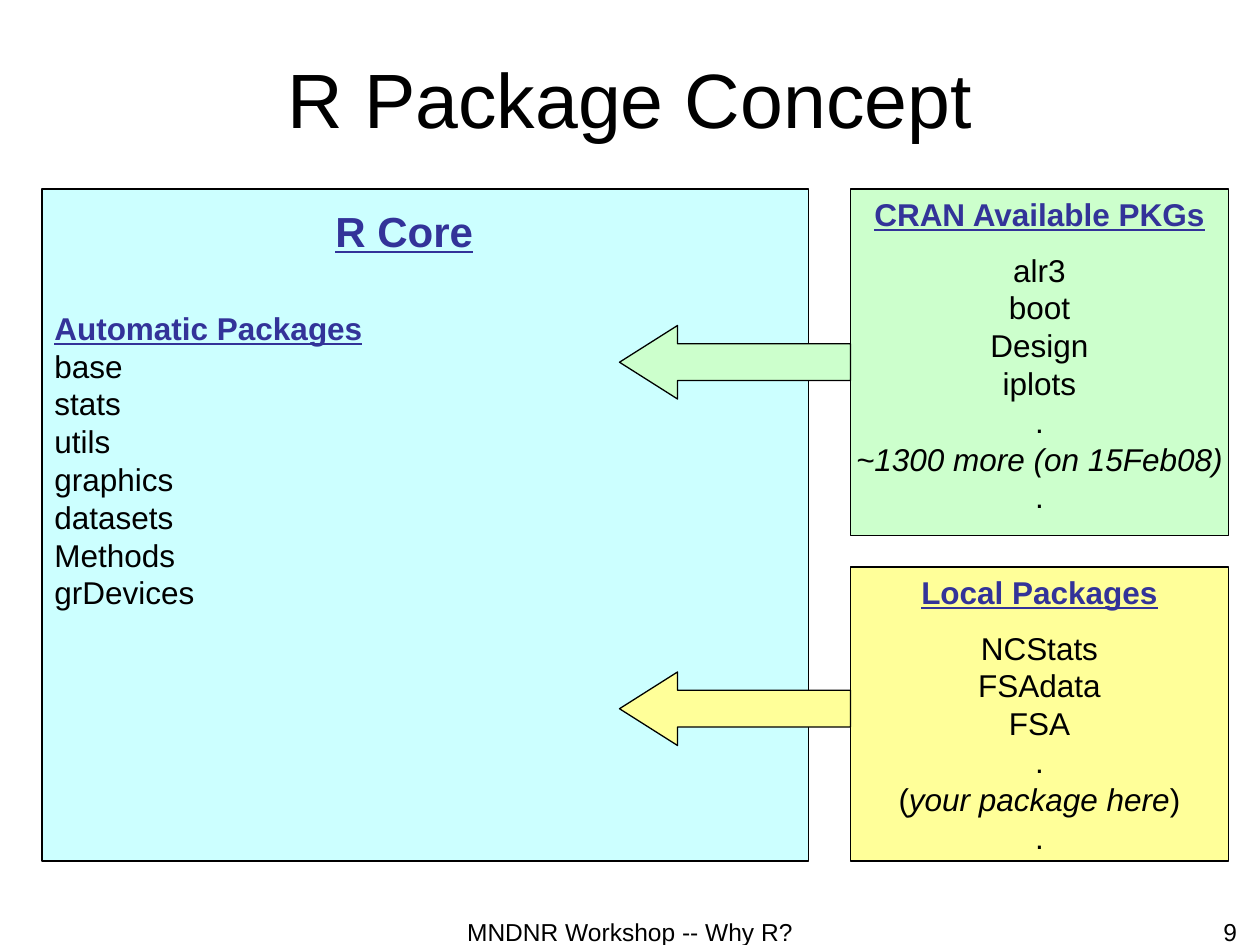
from dataclasses import dataclass

from pptx import Presentation
from pptx.dml.color import RGBColor
from pptx.enum.shapes import MSO_SHAPE
from pptx.enum.text import MSO_ANCHOR, PP_ALIGN
from pptx.util import Inches, Pt

RECTANGLE, LEFT_ARROW = MSO_SHAPE.RECTANGLE, MSO_SHAPE.LEFT_ARROW
LEFT, CENTER, RIGHT = PP_ALIGN.LEFT, PP_ALIGN.CENTER, PP_ALIGN.RIGHT
TOP, MIDDLE = MSO_ANCHOR.TOP, MSO_ANCHOR.MIDDLE
CELL = Inches(1) // 12  # the slide is a grid of 120 columns by 90 rows


@dataclass(frozen=True)
class Theme:
    font: str = "Arial"
    ink: str = "000000"
    heading: str = "333399"
    core: str = "CCFFFF"
    cran: str = "CCFFCC"
    local: str = "FFFF99"
    title_size: int = 44
    core_size: int = 24
    body_size: int = 18
    footer_size: int = 14
    heading_gap: int = 10
    outline: float = 0.75


def color(value):
    return RGBColor.from_string(value)


def add_text(paragraph, text, *, font, size, ink, bold=False, italic=False, underline=False):
    run = paragraph.add_run()
    run.text = text
    run.font.name, run.font.size = font, Pt(size)
    run.font.color.rgb = color(ink)
    run.font.bold, run.font.italic, run.font.underline = bold, italic, underline


class SlideBuilder:
    def __init__(self, slide, theme):
        self.shapes, self.theme = slide.shapes, theme

    def styled_text(self, paragraph, text, size=None, heading=False, italic=False):
        theme = self.theme
        add_text(paragraph, text, font=theme.font, size=size or theme.body_size,
                 ink=theme.heading if heading else theme.ink,
                 bold=heading, underline=heading, italic=italic)

    def label(self, cells, text, size, align=CENTER, anchor=TOP, heading=False):
        frame = self.shapes.add_textbox(*(round(CELL * c) for c in cells)).text_frame
        frame.word_wrap, frame.vertical_anchor = True, anchor
        frame.paragraphs[0].alignment = align
        self.styled_text(frame.paragraphs[0], text, size, heading)

    def block(self, kind, cells, fill):
        shape = self.shapes.add_shape(kind, *(round(CELL * c) for c in cells))
        shape.shadow.inherit = False
        shape.fill.solid()
        shape.fill.fore_color.rgb = color(fill)
        shape.line.color.rgb = color(self.theme.ink)
        shape.line.width = Pt(self.theme.outline)
        return shape

    def package_box(self, cells, fill, heading, packages, *, align=CENTER, wrap=False,
                    gap=0, rows_above=0):
        """Box with a heading and one line per package; a line is a list of (text, italic)."""
        frame = self.block(RECTANGLE, cells, fill).text_frame
        frame.word_wrap, frame.vertical_anchor = wrap, TOP
        frame.margin_top = Inches(0.05) + round(CELL * rows_above)
        top_line = frame.paragraphs[0]
        top_line.alignment, top_line.space_after = align, Pt(gap)
        self.styled_text(top_line, heading, heading=True)
        for pieces in packages:
            line = frame.add_paragraph()
            line.alignment = align
            for text, italic in pieces:
                self.styled_text(line, text, italic=italic)

    def arrow(self, row, fill):
        arrow = self.block(LEFT_ARROW, (59, row, 22, 7), fill)
        arrow.adjustments[0], arrow.adjustments[1] = 0.5, 0.79


def plain(*names):
    return [[(name, False)] for name in names]


def main():
    theme = Theme()
    deck = Presentation()
    deck.slide_width, deck.slide_height = 120 * CELL, 90 * CELL
    page = SlideBuilder(deck.slides.add_slide(deck.slide_layouts[6]), theme)

    page.label((6, 3.6, 108, 11.4), "R Package Concept", theme.title_size, anchor=MIDDLE)

    page.package_box(
        (81, 18, 36, 33), theme.cran, "CRAN Available PKGs",
        plain("alr3", "boot", "Design", "iplots", ".")
        + [[("~1300 more (on 15Feb08)", True)]] + plain("."),
        gap=theme.heading_gap)
    page.package_box(
        (4, 18, 73, 64), theme.core, "Automatic Packages",
        plain("base", "stats", "utils", "graphics", "datasets", "Methods", "grDevices"),
        align=LEFT, wrap=True, rows_above=10.8)
    page.label((30, 19, 17, 6), "R Core", theme.core_size, heading=True)
    page.package_box(
        (81, 54, 36, 28), theme.local, "Local Packages",
        plain("NCStats", "FSAdata", "FSA", ".")
        + [[("(", False), ("your package here", True), (")", False)]] + plain("."),
        gap=theme.heading_gap)

    for row, fill in ((31, theme.cran), (64, theme.local)):
        page.arrow(row, fill)

    page.label((41, 86.75, 38, 3.25), "MNDNR Workshop -- Why R?", theme.footer_size)
    page.label((107, 86.75, 12, 3.25), "9", theme.footer_size, align=RIGHT)
    deck.save("out.pptx")


if __name__ == "__main__":
    main()
